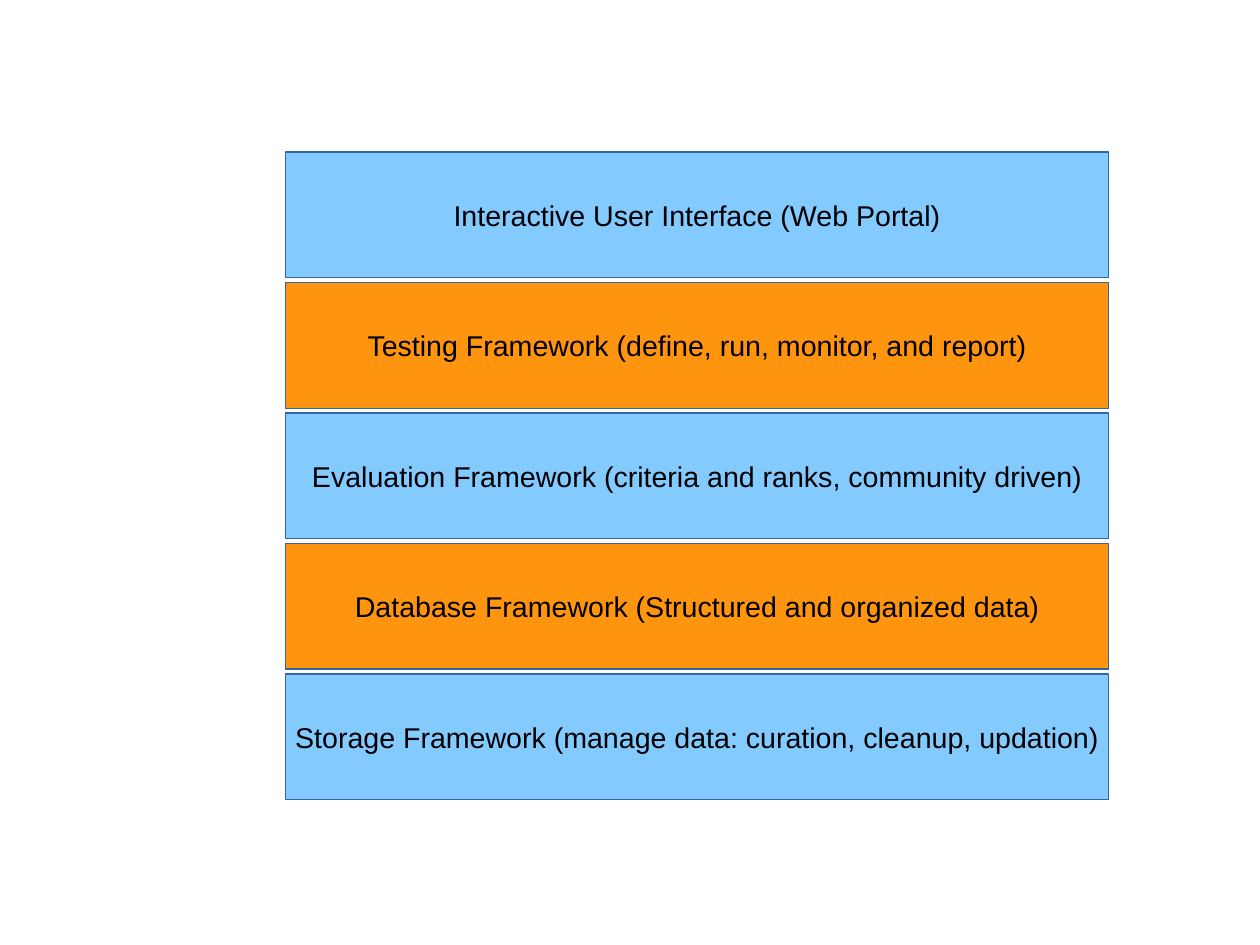
from pptx import Presentation
from pptx.dml.color import RGBColor
from pptx.enum.shapes import MSO_SHAPE
from pptx.enum.text import MSO_ANCHOR, PP_ALIGN
from pptx.util import Pt

COLORS = {
    "blue": "83CAFF",
    "orange": "FF950E",
    "outline": "3465A4",
    "text": "000000",
}

LAYERS = [
    "Interactive User Interface (Web Portal)",
    "Testing Framework (define, run, monitor, and report)",
    "Evaluation Framework (criteria and ranks, community driven)",
    "Database Framework (Structured and organized data)",
    "Storage Framework (manage data: curation, cleanup, updation)",
]
LAYER_GAP = 3.06


def color(name):
    return RGBColor.from_string(COLORS[name])


def add_layer(page, label, fill, left, top, width, height):
    """Draw one labelled layer in the given box."""
    box = page.shapes.add_shape(
        MSO_SHAPE.RECTANGLE, Pt(left), Pt(top), Pt(width), Pt(height))
    box.shadow.inherit = False
    box.fill.solid()
    box.fill.fore_color.rgb = color(fill)
    box.line.color.rgb = color("outline")
    box.line.width = Pt(0)

    # Centred label on a single line
    frame = box.text_frame
    frame.word_wrap = False
    frame.vertical_anchor = MSO_ANCHOR.MIDDLE
    para = frame.paragraphs[0]
    para.alignment = PP_ALIGN.CENTER
    span = para.add_run()
    span.text = label
    span.font.name = "Arial"
    span.font.size = Pt(18)
    span.font.color.rgb = color("text")


def add_stack(page, left, top, width, height):
    """Fill the given box with equal layers in alternating colours."""
    layer_height = (height - LAYER_GAP * (len(LAYERS) - 1)) / len(LAYERS)
    for index, label in enumerate(LAYERS):
        fill = "orange" if index % 2 else "blue"
        layer_top = top + index * (layer_height + LAYER_GAP)
        add_layer(page, label, fill, left, layer_top, width, layer_height)


def main():
    deck = Presentation()
    deck.slide_width = Pt(793.7)
    deck.slide_height = Pt(595.28)
    page = deck.slides.add_slide(deck.slide_layouts[6])

    # Framework layers, from the interface down to storage
    add_stack(page, left=180, top=95.8, width=518.2, height=407.9)

    deck.save("out.pptx")


if __name__ == "__main__":
    main()
